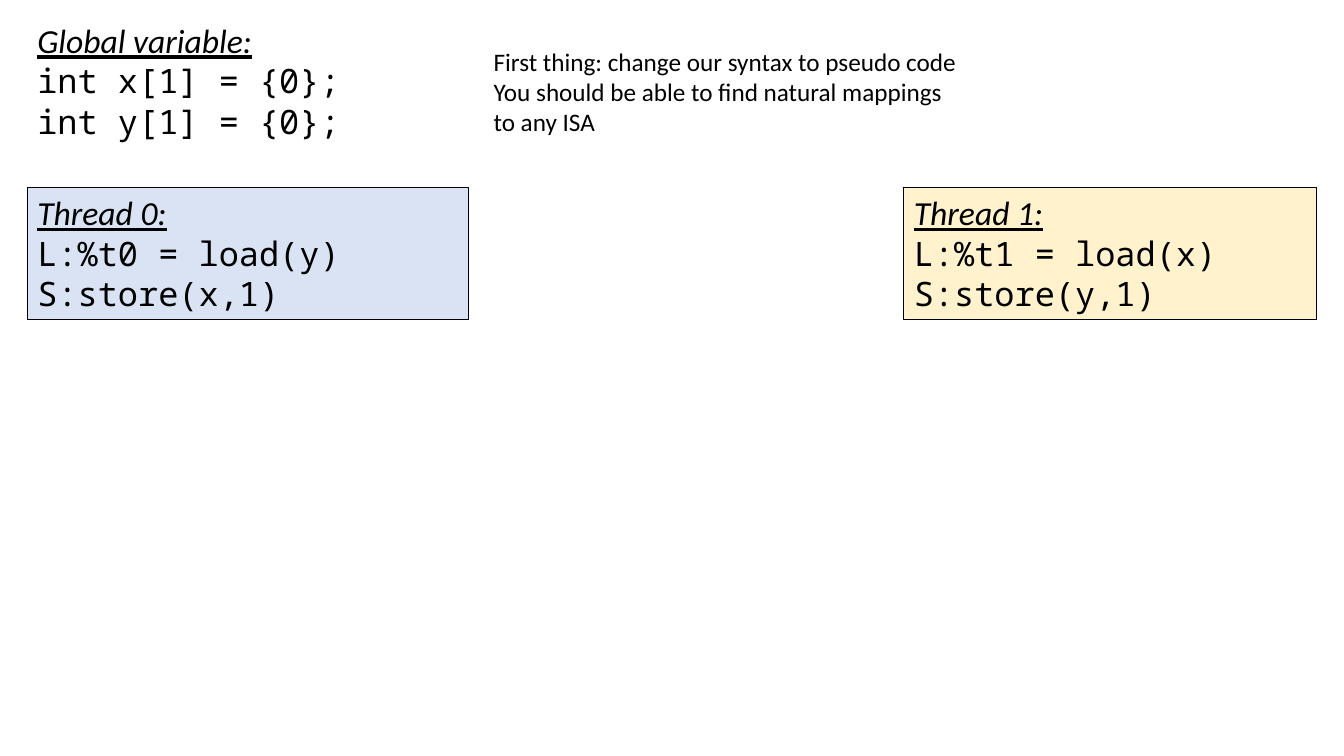
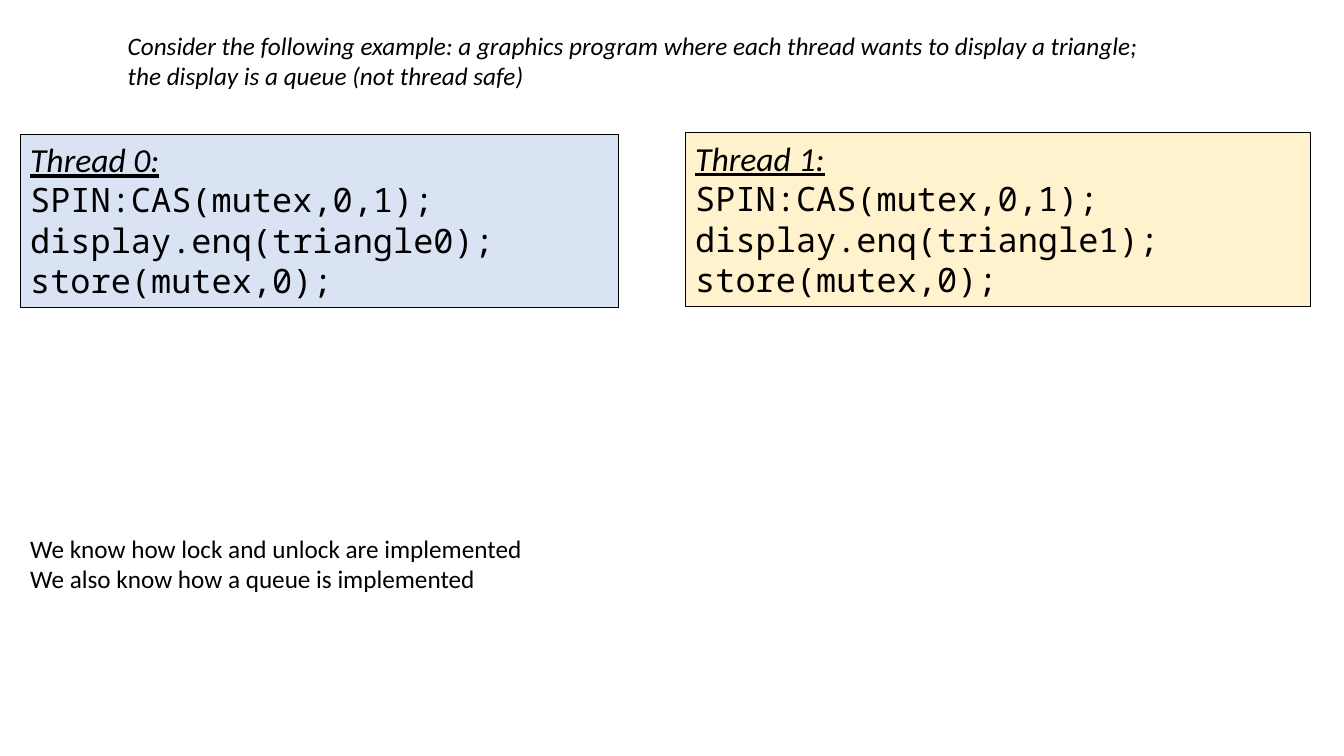
"""Build two slides on shared-memory threads."""
from pptx import Presentation
from pptx.dml.color import RGBColor
from pptx.enum.shapes import MSO_SHAPE
from pptx.enum.text import MSO_ANCHOR, MSO_AUTO_SIZE, PP_ALIGN
from pptx.util import Cm, Pt

RECTANGLE = MSO_SHAPE.RECTANGLE
TOP = MSO_ANCHOR.TOP
GROW = MSO_AUTO_SIZE.SHAPE_TO_FIT_TEXT
LEFT = PP_ALIGN.LEFT

BLACK = "000000"
THREAD_FILLS = ("DAE3F3", "FFF2CC")
BODY_FONT = "Calibri"
CODE_FONT = "Noto Sans Mono"
CODE_SIZE = 24
NOTE_SIZE = 18


def color(hex_string):
    """Return the colour for a hex string."""
    return RGBColor.from_string(hex_string)


def lengths(box):
    """Turn a box of left, top, width and height in centimetres into lengths."""
    return [Cm(value) for value in box]


def write_paragraphs(shape, texts):
    """Fill a shape with one left-aligned paragraph per text and return them."""
    frame = shape.text_frame
    frame.word_wrap = True
    frame.auto_size = GROW
    frame.vertical_anchor = TOP
    paragraphs = [frame.paragraphs[0]]
    paragraphs += [frame.add_paragraph() for _ in texts[1:]]
    for paragraph, text in zip(paragraphs, texts):
        paragraph.text = text
        paragraph.alignment = LEFT
    return paragraphs


def format_runs(paragraph, font_name, size, italic=False, underline=False):
    """Apply one text style to every run of a paragraph."""
    for run in paragraph.runs:
        run.font.name = font_name
        run.font.size = Pt(size)
        run.font.italic = italic
        run.font.underline = underline
        run.font.color.rgb = color(BLACK)


def write_code(shape, heading, code):
    """Write an underlined heading followed by lines of code."""
    title, *lines = write_paragraphs(shape, [heading, *code])
    format_runs(title, BODY_FONT, CODE_SIZE, italic=True, underline=True)
    for line in lines:
        format_runs(line, CODE_FONT, CODE_SIZE)


def add_thread(slide, box, number, code):
    """Draw the filled panel that lists the code of one thread."""
    panel = slide.shapes.add_shape(RECTANGLE, *lengths(box))
    panel.shadow.inherit = False
    panel.fill.solid()
    panel.fill.fore_color.rgb = color(THREAD_FILLS[number])
    panel.line.color.rgb = color(BLACK)
    panel.line.width = Pt(0.75)
    write_code(panel, f"Thread {number}:", code)


def add_globals(slide, box, code):
    """Place the declarations of the global variables."""
    write_code(slide.shapes.add_textbox(*lengths(box)), "Global variable:", code)


def add_note(slide, box, texts, italic=False):
    """Place a plain remark."""
    note = slide.shapes.add_textbox(*lengths(box))
    for paragraph in write_paragraphs(note, texts):
        format_runs(paragraph, BODY_FONT, NOTE_SIZE, italic=italic)


def build_pseudo_code(slide):
    """Build the slide that introduces the pseudo code syntax."""
    add_globals(slide, (0.69, 0.38, 12.14, 3.33),
                ["int x[1] = {0};\nint y[1] = {0};"])
    add_note(slide, (12.19, 1.04, 12.32, 2.57),
             ["First thing: change our syntax to pseudo code",
              "You should be able to find natural mappings\nto any ISA"])
    boxes = ((0.69, 4.72, 11.13, 3.33), (22.78, 4.72, 10.41, 3.33))
    for number, (box, source, target) in enumerate(zip(boxes, "yx", "xy")):
        add_thread(slide, box, number,
                   [f"L:%t{number} = load({source})", f"S:store({target},1)"])


def build_display_queue(slide):
    """Build the slide with the mutex around a display queue."""
    add_note(slide, (2.97, 0.64, 26.39, 1.8),
             ["Consider the following example: a graphics program where each "
              "thread wants to display a triangle;\n"
              "the display is a queue (not thread safe)"], italic=True)
    boxes = ((0.51, 3.38, 15.09, 4.37), (17.27, 3.35, 15.75, 4.37))
    for number, box in enumerate(boxes):
        add_thread(slide, box, number,
                   ["SPIN:CAS(mutex,0,1);",
                    f"display.enq(triangle{number});",
                    "store(mutex,0);"])
    add_note(slide, (0.51, 13.31, 13.06, 1.8),
             ["We know how lock and unlock are implemented\n"
              "We also know how a queue is implemented"])


def main():
    """Create the presentation and save it."""
    presentation = Presentation()
    presentation.slide_width = Cm(33.87)
    presentation.slide_height = Cm(19.05)
    blank_layout = presentation.slide_layouts[6]
    for build in (build_pseudo_code, build_display_queue):
        build(presentation.slides.add_slide(blank_layout))
    presentation.save("out.pptx")


if __name__ == "__main__":
    main()
